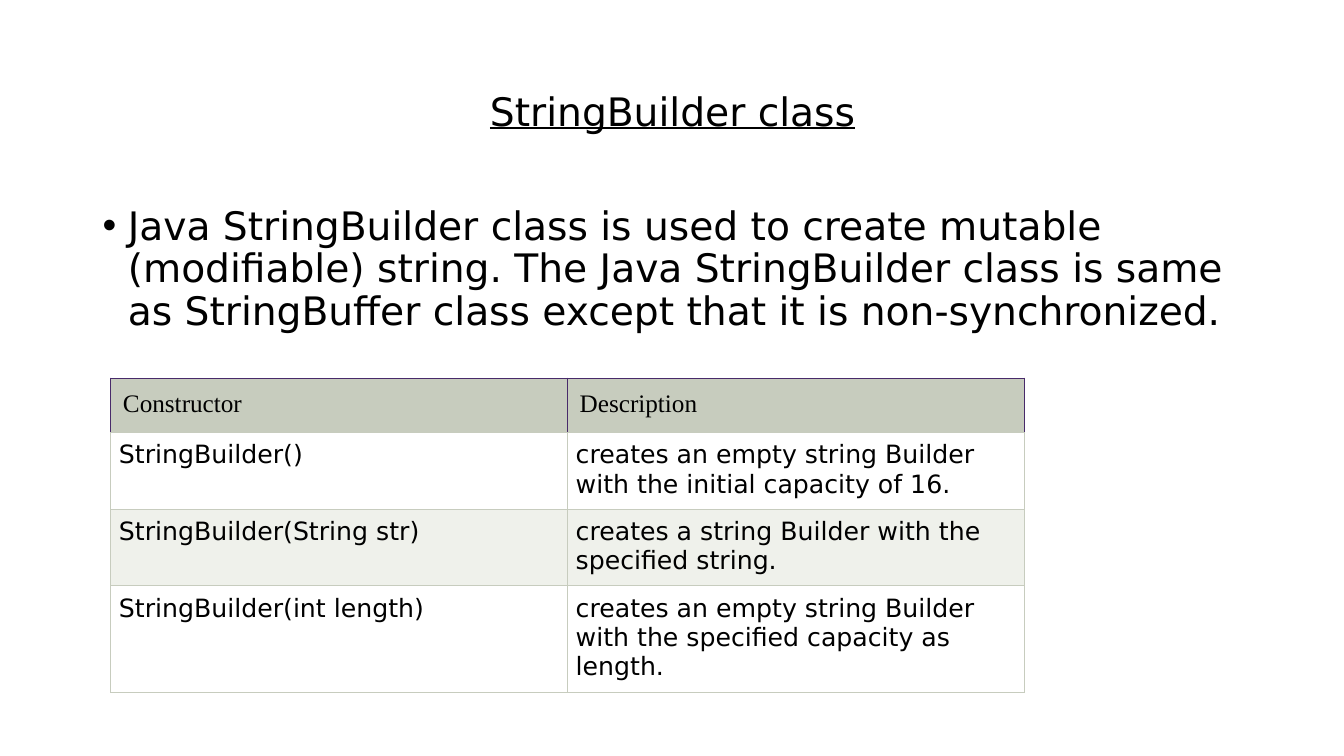
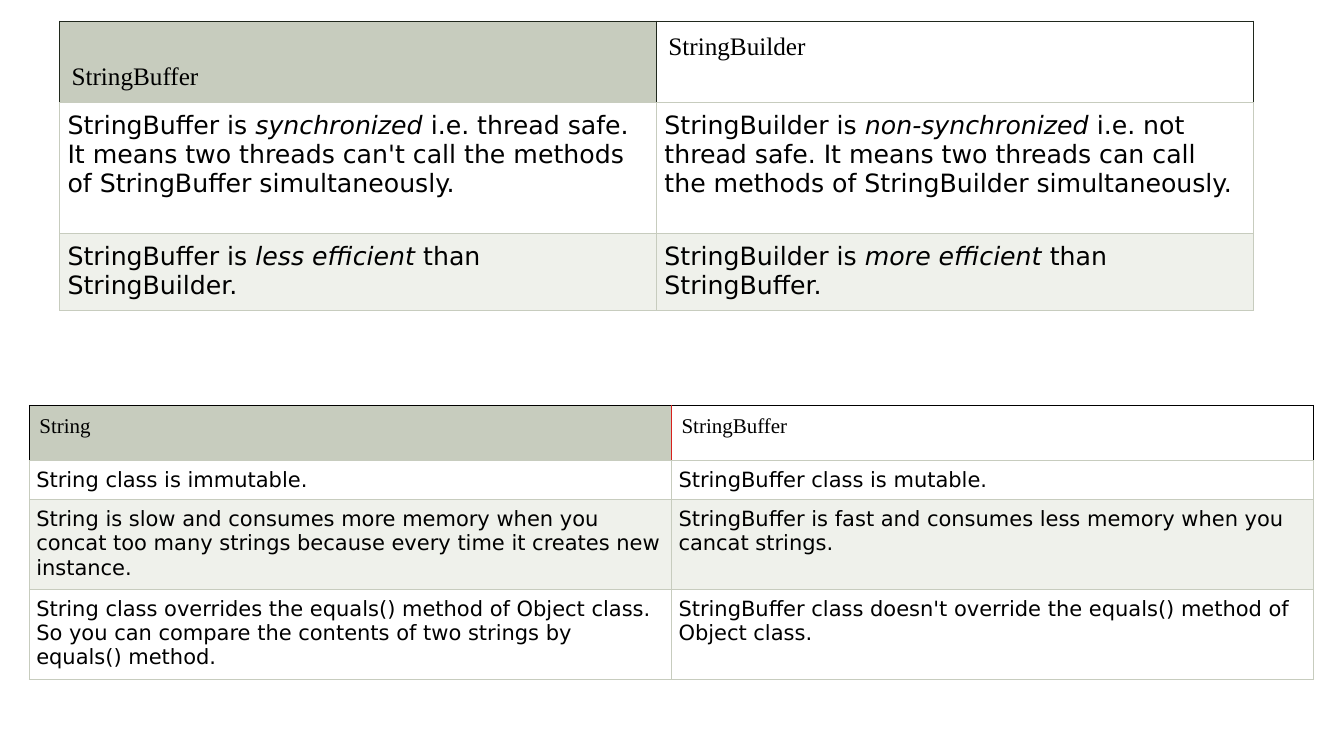
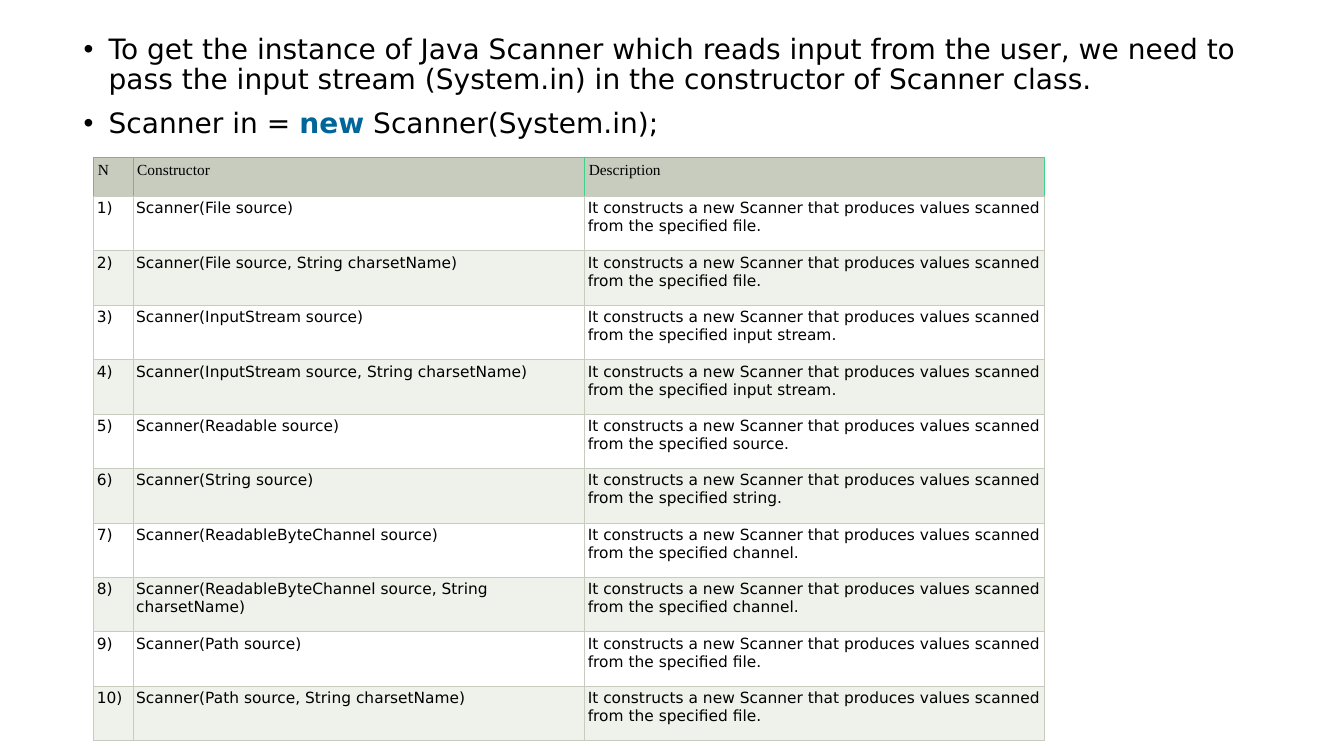
"""Builds three slides on StringBuilder, StringBuffer and Scanner."""
from lxml import etree
from pptx import Presentation
from pptx.dml.color import RGBColor
from pptx.enum.text import MSO_ANCHOR, PP_ALIGN
from pptx.oxml.ns import qn
from pptx.util import Inches, Pt

CENTER = PP_ALIGN.CENTER
TOP, MIDDLE, BOTTOM = MSO_ANCHOR.TOP, MSO_ANCHOR.MIDDLE, MSO_ANCHOR.BOTTOM
SANS, SERIF = "DejaVu Sans", "Times New Roman"
COLORS = {
    "text": "000000", "keyword": "006699", "header": "C7CCBE", "grid": "C7CCBE",
    "plain": "FFFFFF", "band": "EFF1EB", "purple": "482A6A", "dark": "20281D",
    "red": "D8211D", "green": "40D288",
}


def write(paragraph, text, size=18, font=SANS, underline=None, keyword=False):
    """Write text, setting parts between asterisks in italics or as a keyword."""
    for index, part in enumerate(text.split("*")):
        marked = index % 2 == 1
        run = paragraph.add_run()
        run.text = part
        run.font.size = Pt(size)
        run.font.name = font
        run.font.underline = underline
        run.font.bold = marked and keyword
        run.font.italic = marked and not keyword
        color = COLORS["keyword" if marked and keyword else "text"]
        run.font.color.rgb = RGBColor.from_string(color)


def add_border(cell, side, color):
    """Draw one side of a cell."""
    line = etree.SubElement(cell._tc.get_or_add_tcPr(), qn(f"a:ln{side}"), w=str(Pt(0.75)))
    fill = etree.SubElement(line, qn("a:solidFill"))
    etree.SubElement(fill, qn("a:srgbClr"), val=COLORS[color])


scanner_sources = [
    ("File source", "file"),
    ("File source, String charsetName", "file"),
    ("InputStream source", "input stream"),
    ("InputStream source, String charsetName", "input stream"),
    ("Readable source", "source"),
    ("String source", "string"),
    ("ReadableByteChannel source", "channel"),
    ("ReadableByteChannel source, String charsetName", "channel"),
    ("Path source", "file"),
    ("Path source, String charsetName", "file"),
]
scanner_rows = [
    (f"{number})", f"Scanner({arguments})",
     f"It constructs a new Scanner that produces values scanned from the specified {origin}.")
    for number, (arguments, origin) in enumerate(scanner_sources, 1)
]

slides = [
    {
        "title": "StringBuilder class",
        "bullets": {
            "at": (0.92, 2, 11.5, 4.76), "size": 28,
            "lines": ["Java StringBuilder class is used to create mutable (modifiable) string. "
                      "The Java StringBuilder class is same as StringBuffer class except that "
                      "it is non-synchronized."],
        },
        "tables": [{
            "at": (1.1, 3.75), "columns": [4.53, 4.53], "heights": [0.53, 0.75, 0.75, 1.04],
            "size": 18, "insets": (0.12, 0.08), "outer": "purple", "divider": "purple",
            "rows": [
                ("Constructor", "Description"),
                ("StringBuilder()",
                 "creates an empty string Builder with the initial capacity of 16."),
                ("StringBuilder(String str)",
                 "creates a string Builder with the specified string."),
                ("StringBuilder(int length)",
                 "creates an empty string Builder with the specified capacity as length."),
            ],
        }],
    },
    {
        "tables": [
            {
                "at": (0.59, 0.21), "columns": [5.92, 5.92], "heights": [0.81, 1.3, 0.74],
                "size": 18, "insets": (0.12, 0.08), "outer": "dark", "divider": "dark",
                "header_fills": ["header", None], "first_anchor": BOTTOM,
                "rows": [
                    ("StringBuffer", "StringBuilder"),
                    ("StringBuffer is *synchronized* i.e. thread safe. It means two threads "
                     "can't call the methods of StringBuffer simultaneously.",
                     "StringBuilder is *non-synchronized* i.e. not thread safe. It means two "
                     "threads can call the methods of StringBuilder simultaneously."),
                    ("StringBuffer is *less efficient* than StringBuilder.",
                     "StringBuilder is *more efficient* than StringBuffer."),
                ],
            },
            {
                "at": (0.29, 4.02), "columns": [6.37, 6.37], "heights": [0.55, 0.38, 0.86, 0.86],
                "size": 15, "insets": (0.1, 0.07), "outer": "text", "divider": "red",
                "header_fills": ["header", None],
                "rows": [
                    ("String", "StringBuffer"),
                    ("String class is immutable.", "StringBuffer class is mutable."),
                    ("String is slow and consumes more memory when you concat too many strings "
                     "because every time it creates new instance.",
                     "StringBuffer is fast and consumes less memory when you cancat strings."),
                    ("String class overrides the equals() method of Object class. So you can "
                     "compare the contents of two strings by equals() method.",
                     "StringBuffer class doesn't override the equals() method of Object class."),
                ],
            },
        ],
    },
    {
        "bullets": {
            "at": (0.73, 0.3, 11.85, 7.06), "size": 20,
            "lines": ["To get the instance of Java Scanner which reads input from the user, we "
                      "need to pass the input stream (System.in) in the constructor of Scanner "
                      "class.",
                      "Scanner in = *new* Scanner(System.in);"],
        },
        "tables": [{
            "at": (0.93, 1.56), "columns": [0.39, 4.48, 4.56], "heights": [0.39] + [0.54] * 10,
            "size": 11, "insets": (0.04, 0.03), "outer": "green", "divider": "green",
            "rows": [("N", "Constructor", "Description")] + scanner_rows,
        }],
    },
]

deck = Presentation()
deck.slide_width, deck.slide_height = Inches(13.33), Inches(7.5)

for content in slides:
    slide = deck.slides.add_slide(deck.slide_layouts[6])

    if "title" in content:
        title = slide.shapes.add_textbox(
            Inches(0.92), Inches(0.4), Inches(11.5), Inches(1.45)).text_frame
        title.word_wrap = True
        title.vertical_anchor = MIDDLE
        title.paragraphs[0].alignment = CENTER
        title.paragraphs[0].line_spacing = 0.9
        write(title.paragraphs[0], content["title"], size=28, underline=True)

    if "bullets" in content:
        bullets = content["bullets"]
        body = slide.shapes.add_textbox(*map(Inches, bullets["at"])).text_frame
        body.word_wrap = True
        for index, line in enumerate(bullets["lines"]):
            paragraph = body.add_paragraph() if index else body.paragraphs[0]
            paragraph.line_spacing = 0.9
            if index:
                paragraph.space_before = Pt(10)
            properties = paragraph._p.get_or_add_pPr()
            properties.set("marL", str(Inches(0.25)))
            properties.set("indent", str(Inches(-0.25)))
            etree.SubElement(properties, qn("a:buFont"), typeface="Arial")
            etree.SubElement(properties, qn("a:buChar"), char="•")
            write(paragraph, line, size=bullets["size"], keyword=True)

    for grid in content["tables"]:
        columns, heights = grid["columns"], grid["heights"]
        table = slide.shapes.add_table(
            len(heights), len(columns), *map(Inches, grid["at"]),
            Inches(sum(columns)), Inches(sum(heights))).table
        table.first_row = table.horz_banding = False
        for column, width in zip(table.columns, columns):
            column.width = Inches(width)
        for row, height in zip(table.rows, heights):
            row.height = Inches(height)

        header_fills = grid.get("header_fills", ["header"] * len(columns))
        last = len(columns) - 1
        for r, texts in enumerate(grid["rows"]):
            for c, text in enumerate(texts):
                cell = table.cell(r, c)
                inset = Inches(grid["insets"][0 if r == 0 else 1])
                cell.margin_left = cell.margin_right = inset
                cell.margin_top = cell.margin_bottom = inset
                cell.vertical_anchor = grid.get("first_anchor", TOP) if r == c == 0 else TOP
                if r == 0:
                    left = grid["outer" if c == 0 else "divider"]
                    right = grid["outer" if c == last else "divider"]
                    top, fill, font = grid["outer"], header_fills[c], SERIF
                else:
                    left = right = top = "grid"
                    fill, font = "plain" if r % 2 else "band", SANS
                for side, color in zip("LRTB", (left, right, top, "grid")):
                    add_border(cell, side, color)
                if fill:
                    cell.fill.solid()
                    cell.fill.fore_color.rgb = RGBColor.from_string(COLORS[fill])
                else:
                    cell.fill.background()
                write(cell.text_frame.paragraphs[0], text, size=grid["size"], font=font)

deck.save("out.pptx")
